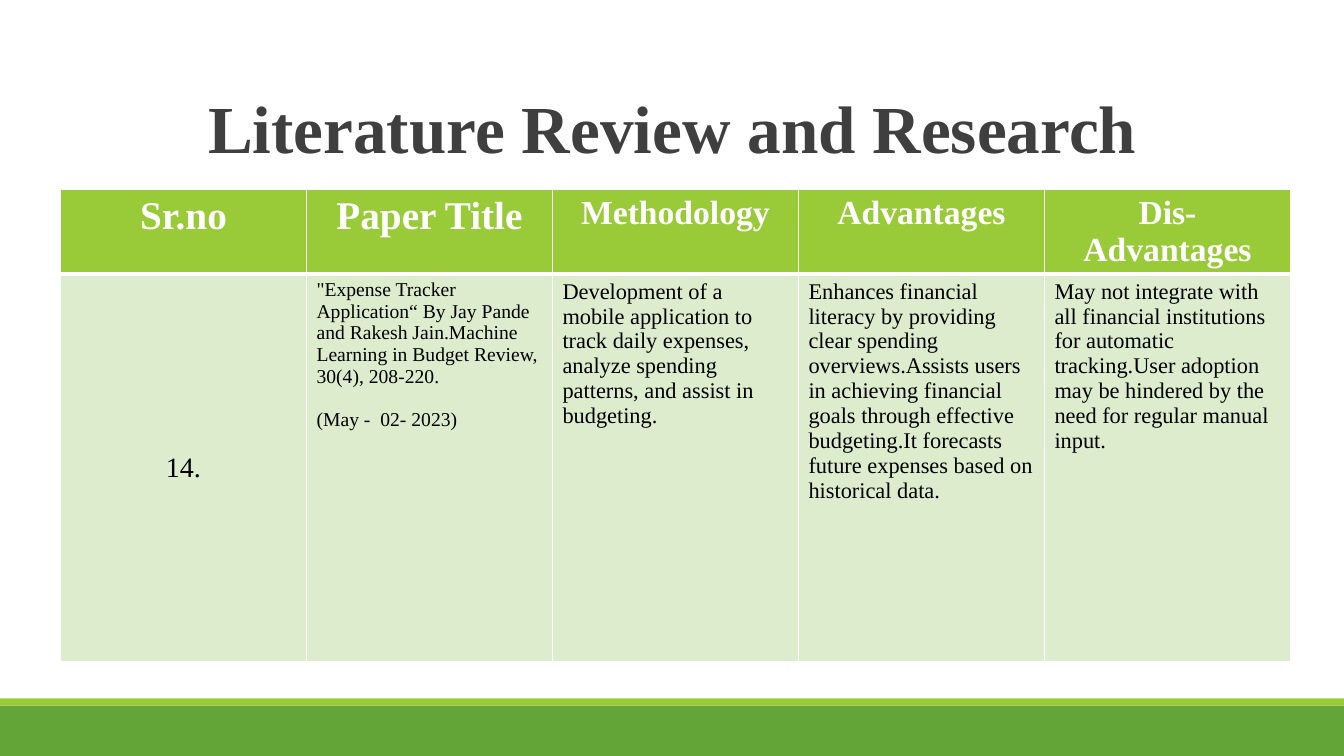
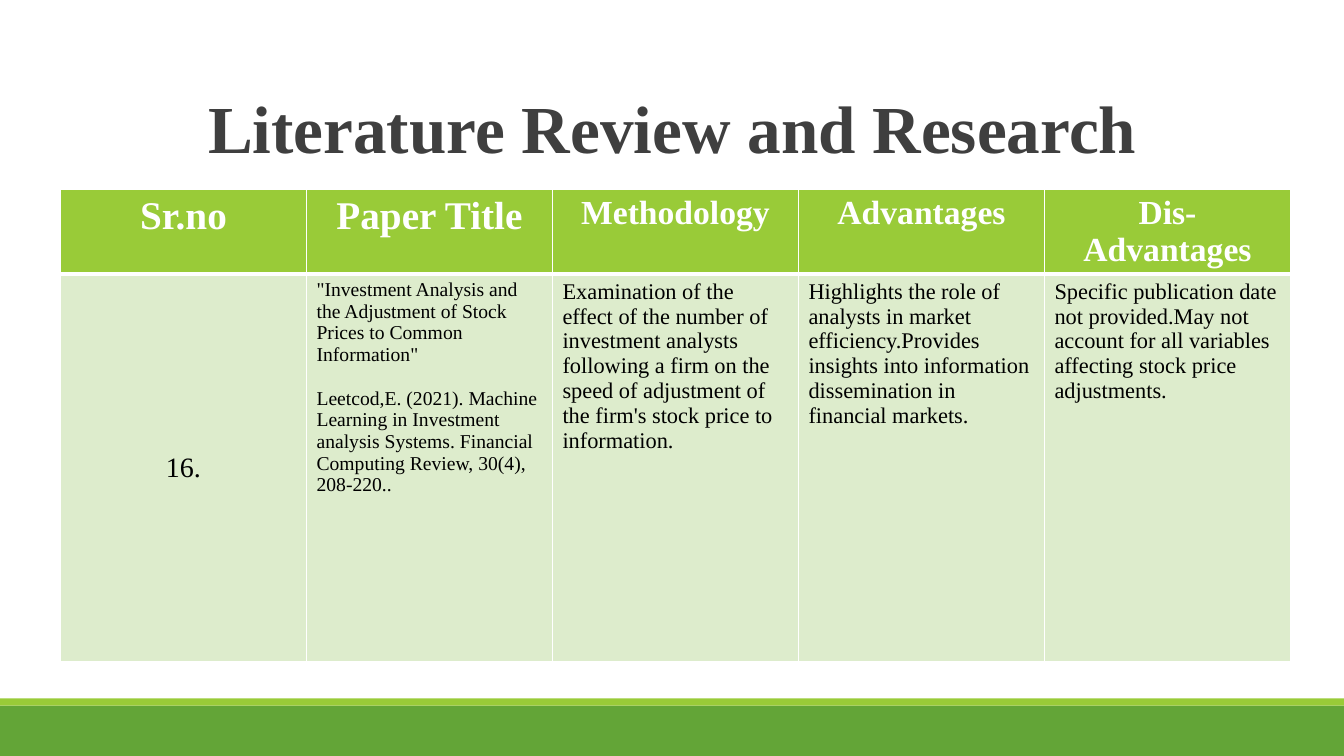
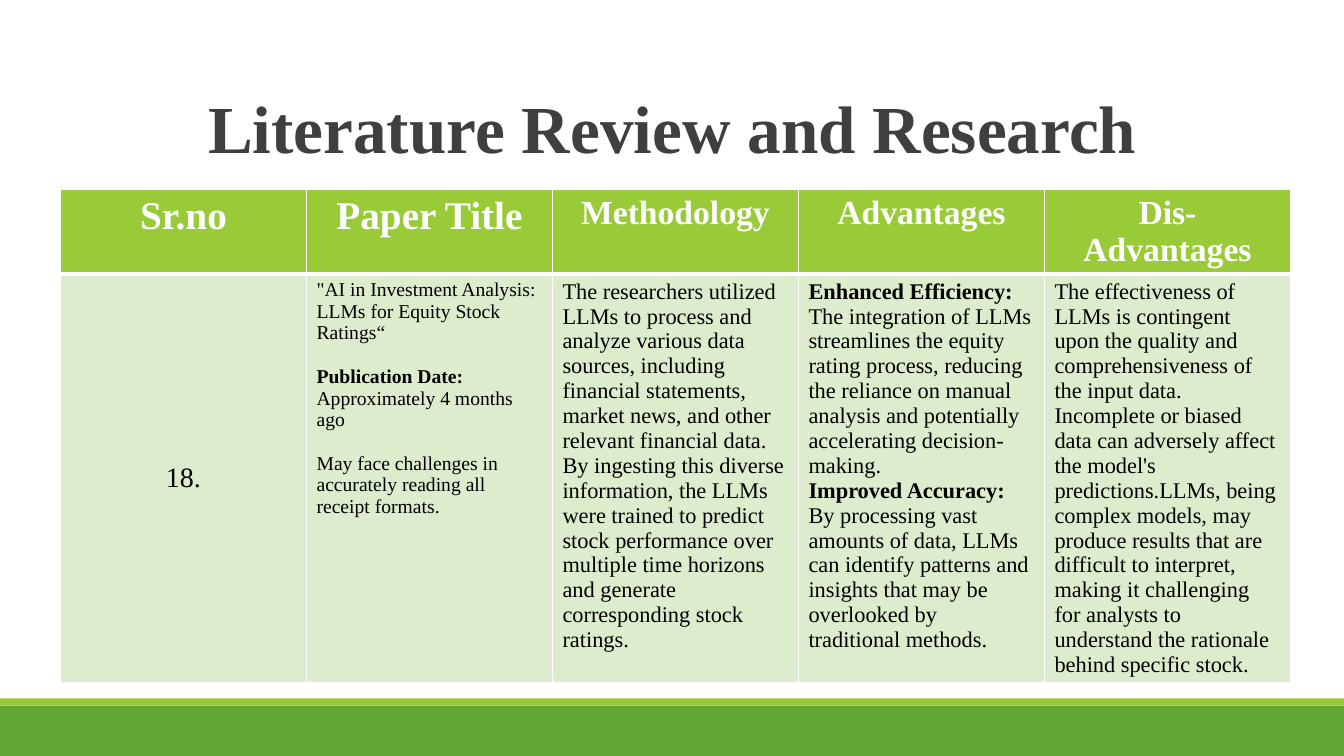
from dataclasses import dataclass
from lxml.etree import SubElement as Sub, Element
from pptx import Presentation
from pptx.dml.color import RGBColor as RGB
from pptx.enum.shapes import MSO_SHAPE as Shape
from pptx.enum.text import MSO_ANCHOR as Anchor, MSO_AUTO_SIZE as Fit, PP_ALIGN as Align
from pptx.oxml.ns import qn
from pptx.util import Inches, Pt


@dataclass(frozen=True)
class Theme:
    font: str = "Times New Roman"
    dark: str = "63A537"
    lime: str = "99CB38"
    pale: str = "DDECCC"
    ink: str = "000000"
    gray: str = "3F3F3F"
    white: str = "FFFFFF"
    title: int = 48
    thin: int = 1
    thick: int = 3


@dataclass(frozen=True)
class Column:
    name: str
    head: int
    body: int
    align: int = Align.LEFT
    anchor: int = Anchor.TOP
    gap: float = 0


THEME = Theme()
WIDTH, HEIGHT = 13.33, 7.5
TITLE = "Literature Review and Research"
TITLE_BOX = (1.17, 0.12, 11, 1.59)
TABLE_BOX = (0.6, 1.88, 12.2, 4.68)
BANDS = (((0, 7, WIDTH, 0.5), THEME.dark), ((0, 6.93, WIDTH, 0.07), THEME.lime))
HEAD_ROW = 0.84

COLUMNS = (
    Column("Sr.no", 28, 20, Align.CENTER, Anchor.MIDDLE),
    Column("Paper Title", 28, 14, gap=15.5),
    Column("Methodology", 24, 16),
    Column("Advantages", 24, 16),
    Column("Dis-Advantages", 24, 16),
)

PAPERS = (
    (
        ["14."],
        [
            "\"Expense Tracker Application“ By Jay Pande and Rakesh Jain.Machine Learning in Budget Review, 30(4), 208-220.",
            "(May -  02- 2023)",
        ],
        ["Development of a mobile application to track daily expenses, analyze spending patterns, and assist in budgeting."],
        ["Enhances financial literacy by providing clear spending overviews.Assists users in achieving financial goals through effective budgeting.It forecasts future expenses based on historical data."],
        ["May not integrate with all financial institutions for automatic tracking.User adoption may be hindered by the need for regular manual input."],
    ),
    (
        ["16."],
        [
            "\"Investment Analysis and the Adjustment of Stock Prices to Common Information\"",
            "Leetcod,E. (2021). Machine Learning in Investment analysis Systems. Financial Computing Review, 30(4), 208-220..",
        ],
        ["Examination of the effect of the number of investment analysts following a firm on the speed of adjustment of the firm's stock price to information."],
        ["Highlights the role of analysts in market efficiency.Provides insights into information dissemination in financial markets."],
        ["Specific publication date not provided.May not account for all variables affecting stock price adjustments."],
    ),
    (
        ["18."],
        [
            "\"AI in Investment Analysis: LLMs for Equity Stock Ratings“",
            ("Publication Date:", " Approximately 4 months ago"),
            "May face challenges in accurately reading all receipt formats.",
        ],
        ["The researchers utilized LLMs to process and analyze various data sources, including financial statements, market news, and other relevant financial data. By ingesting this diverse information, the LLMs were trained to predict stock performance over multiple time horizons and generate corresponding stock ratings."],
        [
            ("Enhanced Efficiency:", " The integration of LLMs streamlines the equity rating process, reducing the reliance on manual analysis and potentially accelerating decision-making."),
            ("Improved Accuracy:", " By processing vast amounts of data, LLMs can identify patterns and insights that may be overlooked by traditional methods."),
        ],
        ["The effectiveness of LLMs is contingent upon the quality and comprehensiveness of the input data. Incomplete or biased data can adversely affect the model's predictions.LLMs, being complex models, may produce results that are difficult to interpret, making it challenging for analysts to understand the rationale behind specific stock."],
    ),
)


def apply(item, form):
    for key, value in form.items():
        setattr(item, key, value)


def paint(fill, color):
    fill.solid()
    fill.fore_color.rgb = RGB.from_string(color)


def add_run(para, text, size, color, bold):
    run = para.add_run()
    run.text = text
    apply(run.font, {"name": THEME.font, "size": Pt(size), "bold": bold})
    run.font.color.rgb = RGB.from_string(color)


def add_bands(slide):
    for box, color in BANDS:
        band = slide.shapes.add_shape(Shape.RECTANGLE, *map(Inches, box))
        band.shadow.inherit = False
        paint(band.fill, color)
        band.line.fill.background()


def add_title(slide, box):
    title = slide.shapes.title
    apply(title, dict(zip(("left", "top", "width", "height"), map(Inches, box))))
    apply(title.text_frame, {
        "vertical_anchor": Anchor.BOTTOM, "word_wrap": True, "auto_size": Fit.NONE,
    })
    para = title.text_frame.paragraphs[0]
    apply(para, {"alignment": Align.CENTER, "line_spacing": 0.85})
    add_run(para, TITLE, THEME.title, THEME.gray, True)


def add_edges(cell, base):
    props = cell._tc.get_or_add_tcPr()
    widths = {"lnL": THEME.thin, "lnR": THEME.thin, "lnT": THEME.thin, "lnB": base}
    for spot, (tag, width) in enumerate(widths.items()):
        edge = Element(qn(f"a:{tag}"), w=str(Pt(width)))
        fill = Sub(edge, qn("a:solidFill"))
        Sub(fill, qn("a:srgbClr"), val=THEME.white)
        props.insert(spot, edge)


def fill_head(cell, col):
    paint(cell.fill, THEME.lime)
    add_edges(cell, THEME.thick)
    para = cell.text_frame.paragraphs[0]
    para.alignment = Align.CENTER
    add_run(para, col.name, col.head, THEME.white, True)


def fill_body(cell, col, paras):
    paint(cell.fill, THEME.pale)
    add_edges(cell, THEME.thin)
    cell.vertical_anchor = col.anchor
    frame = cell.text_frame
    for spot, text in enumerate(paras):
        para = frame.add_paragraph() if spot else frame.paragraphs[0]
        para.alignment = col.align
        if spot and col.gap:
            para.space_before = Pt(col.gap)
        lead, rest = text if isinstance(text, tuple) else ("", text)
        if lead:
            add_run(para, lead, col.body, THEME.ink, True)
        add_run(para, rest, col.body, THEME.ink, False)


def add_review(slide, box, paper):
    grid = slide.shapes.add_table(2, len(COLUMNS), *map(Inches, box)).table
    grid.rows[0].height = Inches(HEAD_ROW)
    grid.rows[1].height = Inches(box[3] - HEAD_ROW)
    for spot, (col, paras) in enumerate(zip(COLUMNS, paper)):
        grid.columns[spot].width = Inches(box[2] / len(COLUMNS))
        fill_head(grid.cell(0, spot), col)
        fill_body(grid.cell(1, spot), col, paras)


def add_page(deck, paper):
    slide = deck.slides.add_slide(deck.slide_layouts[5])
    paint(slide.background.fill, THEME.white)
    add_bands(slide)
    add_title(slide, TITLE_BOX)
    add_review(slide, TABLE_BOX, paper)


def main():
    deck = Presentation()
    apply(deck, {"slide_width": Inches(WIDTH), "slide_height": Inches(HEIGHT)})
    for paper in PAPERS:
        add_page(deck, paper)
    deck.save("out.pptx")


if __name__ == "__main__":
    main()
